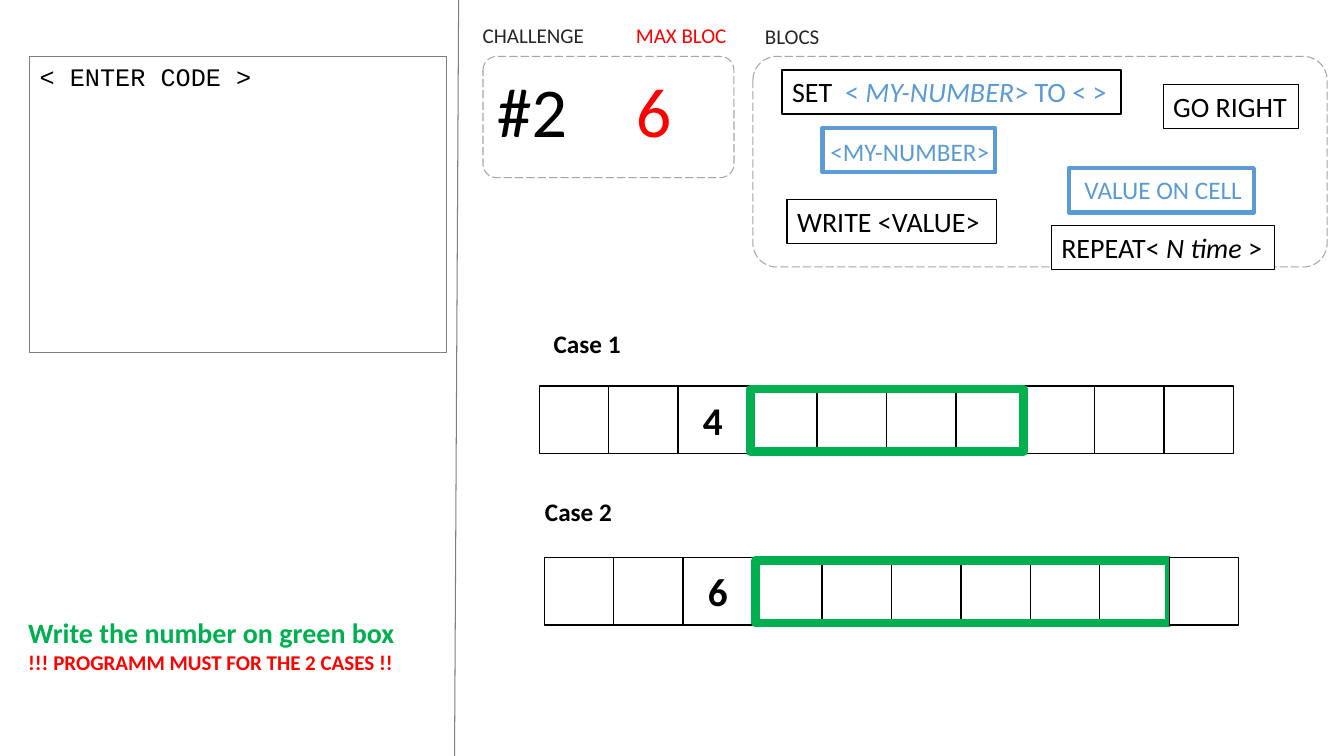
from pptx import Presentation
from pptx.dml.color import RGBColor
from pptx.enum.dml import MSO_LINE
from pptx.enum.shapes import MSO_CONNECTOR, MSO_SHAPE
from pptx.enum.text import MSO_ANCHOR, PP_ALIGN
from pptx.oxml.ns import qn
from pptx.util import Pt
from lxml.etree import SubElement

BLACK = RGBColor(0, 0, 0)
WHITE = RGBColor(255, 255, 255)
DARK = RGBColor(0x26, 0x26, 0x26)
GREY = RGBColor(0x7F, 0x7F, 0x7F)
SILVER = RGBColor(0xA5, 0xA5, 0xA5)
RED = RGBColor(255, 0, 0)
BLUE = RGBColor(0x5B, 0x9B, 0xD5)
GREEN = RGBColor(0, 0xB0, 0x50)

deck = Presentation()
deck.slide_width, deck.slide_height = Pt(960), Pt(540)
slide = deck.slides.add_slide(deck.slide_layouts[6])
shapes = slide.shapes


def box(x, y, w, h, line=None, width=1, fill=WHITE, kind=MSO_SHAPE.RECTANGLE, wrap=True):
    """Add a shape, or a text box when no line colour is given."""
    area = Pt(x), Pt(y), Pt(w), Pt(h)
    if line is None:
        shape = shapes.add_textbox(*area)
    else:
        shape = shapes.add_shape(kind, *area)
        shape.shadow.inherit = False
        shape.line.color.rgb = line
        shape.line.width = Pt(width)
        if fill is None:
            shape.fill.background()
        else:
            shape.fill.solid()
            shape.fill.fore_color.rgb = fill
    frame = shape.text_frame
    frame.word_wrap = wrap
    frame.vertical_anchor = MSO_ANCHOR.TOP
    frame.paragraphs[0].alignment = PP_ALIGN.LEFT
    return shape


def write(text, para, size=20, color=BLACK, bold=False, italic=False, face="Calibri"):
    """Add one formatted run to a paragraph."""
    run = para.add_run()
    run.text = text
    font = run.font
    font.name, font.size, font.bold, font.italic = face, Pt(size), bold, italic
    font.color.rgb = color


# Divider
rule = shapes.add_connector(MSO_CONNECTOR.STRAIGHT, Pt(327.6), Pt(0), Pt(324.7), Pt(540))
rule.line.color.rgb = GREY
rule.line.width = Pt(0.75)
SubElement(rule.element.spPr, qn("a:effectLst"))

# Code area
code = box(21.2, 40.3, 297.8, 211.5, GREY, 0.75, None)
write("< ENTER CODE >", code.text_frame.paragraphs[0], size=18, face="Courier New")

# Dashed panels
for x, w, h in [(345, 179.3, 86.6), (537.8, 410.2, 150.4)]:
    panel = box(x, 40.3, w, h, SILVER, 0.75, kind=MSO_SHAPE.ROUNDED_RECTANGLE)
    panel.adjustments[0] = 0.113
    panel.line.dash_style = MSO_LINE.LONG_DASH

# Headings and labels
for text, x, y, w, h, size, color, bold in [
    ("CHALLENGE", 337.7, 12.4, 88, 25.4, 15, DARK, False),
    ("MAX BLOC", 447.1, 12.4, 80, 25.4, 15, RED, False),
    ("BLOCS", 539.3, 13.2, 56, 25.4, 15, DARK, False),
    ("#2", 347.8, 44.6, 65.5, 68, 50, BLACK, False),
    ("6", 447.1, 44.6, 65.5, 68, 50, RED, False),
    ("Case 1", 388.4, 231.3, 75, 29, 18, BLACK, True),
    ("Case 2", 382.2, 350.8, 75, 29, 18, BLACK, True),
]:
    label = box(x, y, w, h)
    write(text, label.text_frame.paragraphs[0], size=size, color=color, bold=bold)

# Task
task = box(13, 436.3, 293, 49.7).text_frame
write("Write the number on green box", task.paragraphs[0], color=GREEN, bold=True)
write("!!! PROGRAMM MUST FOR THE 2 CASES !!", task.add_paragraph(), size=15, color=RED, bold=True)

# Black blocs: place, width, wrap, then runs of text, colour, italic
for x, y, w, wrap, runs in [
    (830.9, 60.5, 96.5, False, [("GO RIGHT", BLACK, False)]),
    (558.7, 49.9, 242, True, [("SET  ", BLACK, False), ("< ", BLUE, False),
                              ("MY-NUMBER", BLUE, True), ("> TO < >", BLUE, False)]),
    (562.3, 142.4, 149.5, True, [("WRITE <VALUE>", BLACK, False)]),
    (751, 161, 159.2, False, [("REPEAT< ", BLACK, False), ("N time", BLACK, True),
                              (" >", BLACK, False)]),
]:
    bloc = box(x, y, w, 31.5, BLACK, wrap=wrap)
    for text, color, italic in runs:
        write(text, bloc.text_frame.paragraphs[0], color=color, italic=italic)

# Blue blocs: frame, then its caption
for text, x, y, w, left, top, span in [
    ("<MY-NUMBER>", 587.5, 91.4, 123.4, 586, 93.6, 130.3),
    ("VALUE ON CELL", 763.6, 120.2, 132.1, 767.5, 121, 128.2),
]:
    box(x, y, w, 31.7, BLUE, 3)
    label = box(left, top, span, 29, wrap=False)
    write(text, label.text_frame.paragraphs[0], size=18, color=BLUE)

# Cases: ten cells each, with a green frame under the last cell
CELL, TALL, COUNT = 49.6, 48.2, 10
for left, top, digit, span in [(385.2, 275.8, "4", 195.1), (388.8, 398.2, "6", 295.2)]:
    for i in range(COUNT):
        if i == COUNT - 1:
            box(left + 3 * CELL + 2.1, top + 2.2, span, 44.6, GREEN, 6, None)
        cell = box(left + i * CELL, top, CELL, TALL, BLACK)
        if i == 2:
            cell.text_frame.vertical_anchor = MSO_ANCHOR.MIDDLE
            para = cell.text_frame.paragraphs[0]
            para.alignment = PP_ALIGN.CENTER
            write(digit, para, size=28, bold=True)

deck.save("out.pptx")
